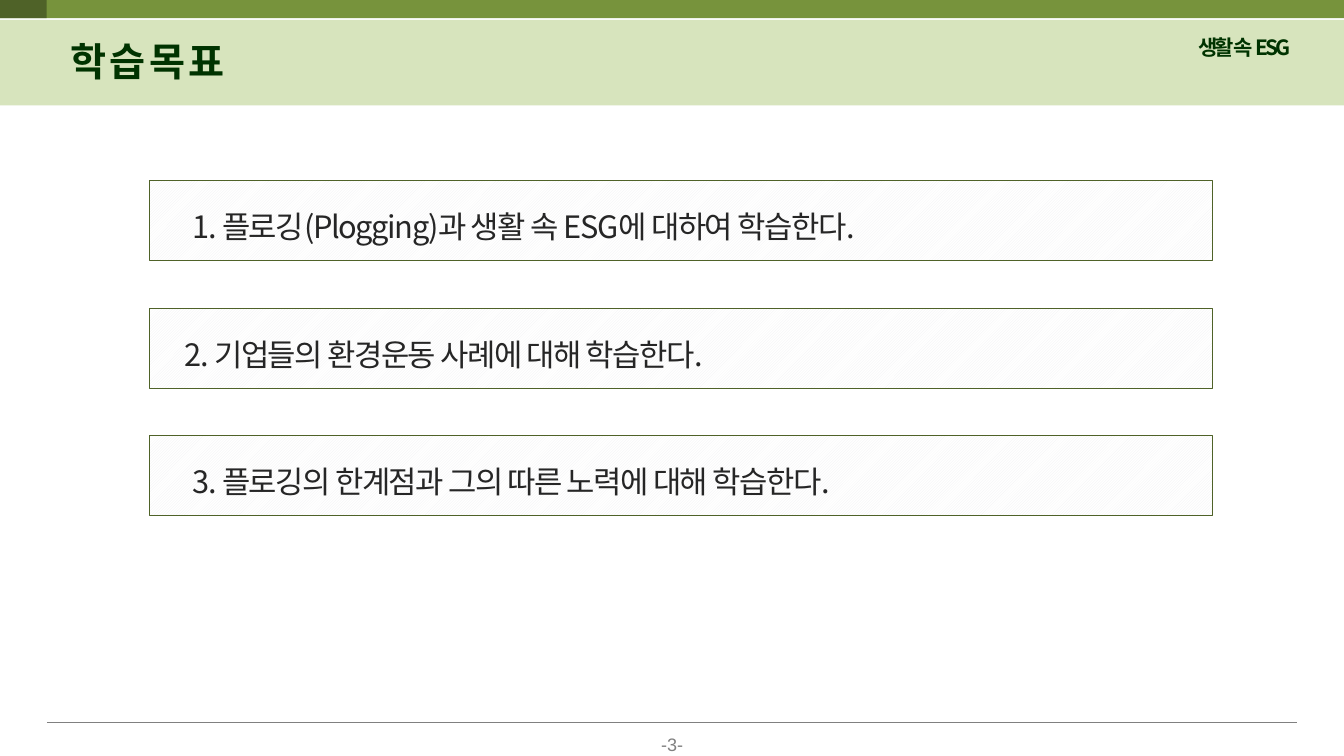
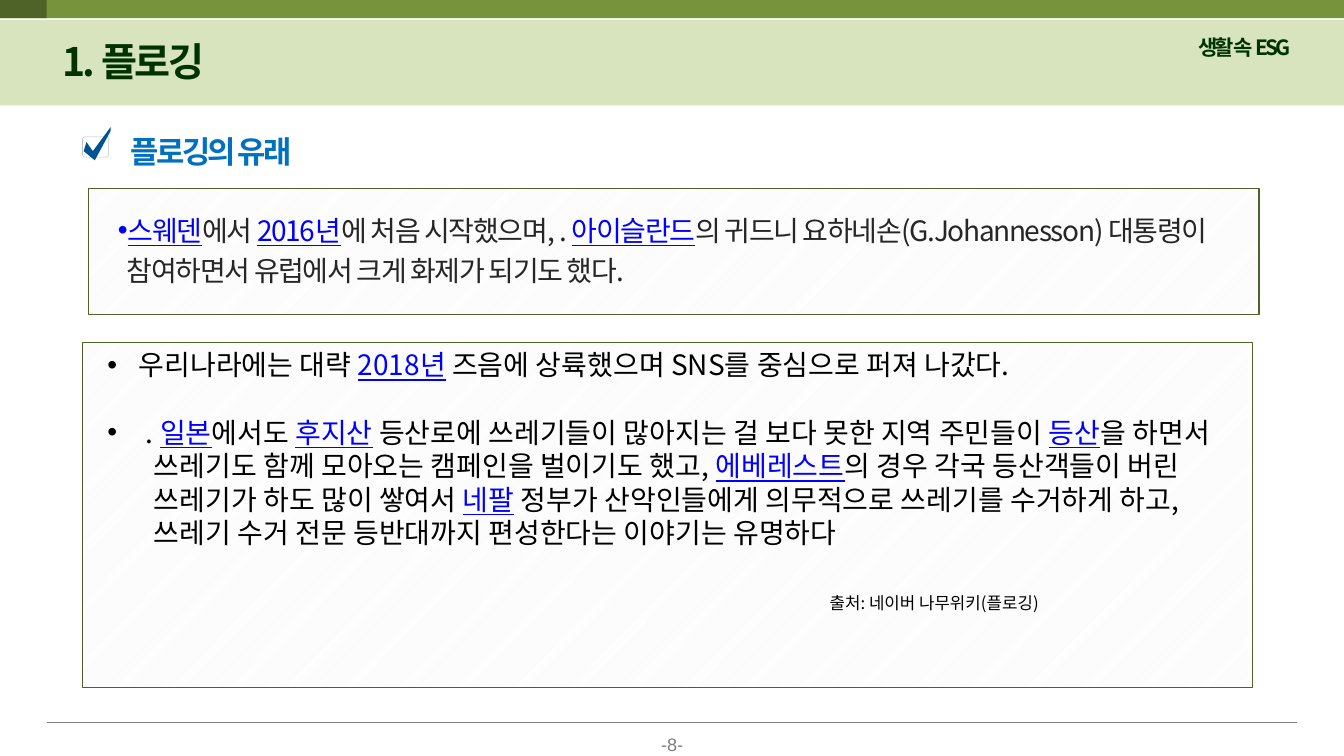
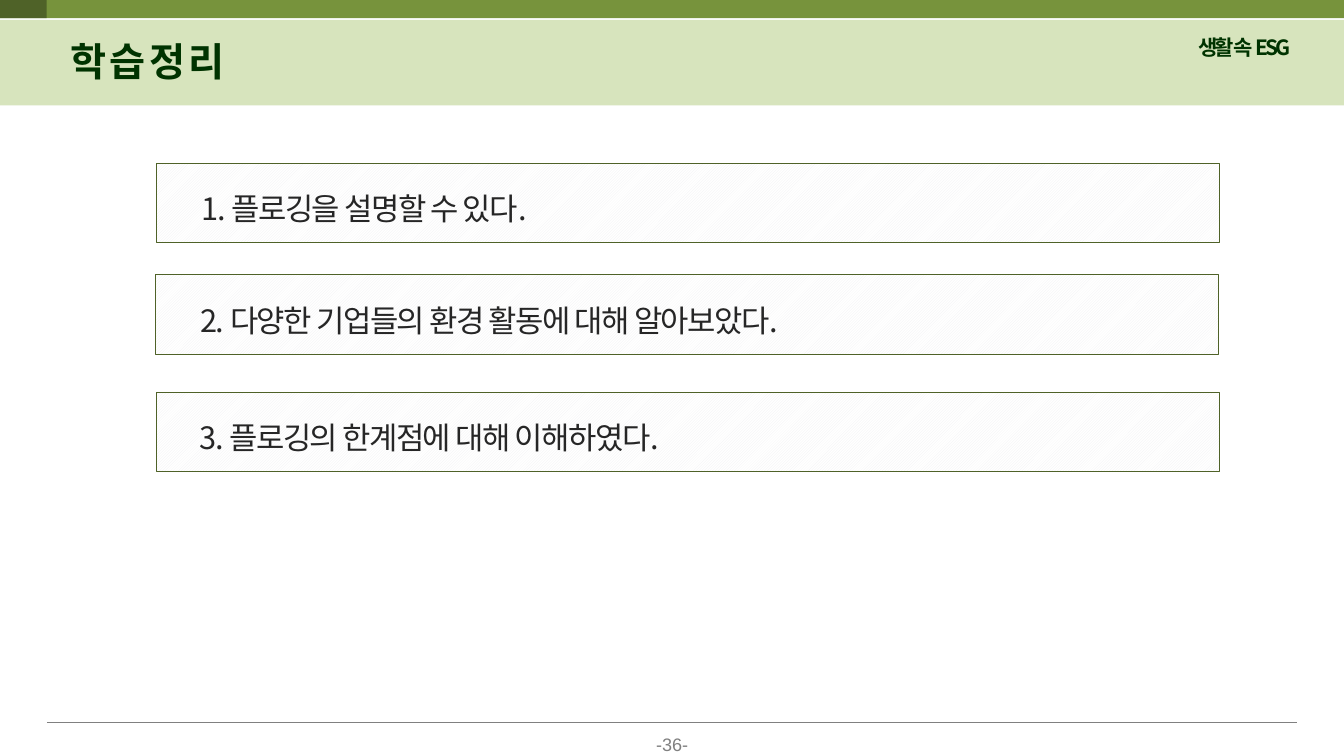
import pptx
import pptx.util
import pptx.dml.color
import pptx.enum.dml
import pptx.enum.shapes
import pptx.enum.text
import pptx.oxml.ns
import lxml.etree

Cm = pptx.util.Cm
Pt = pptx.util.Pt
RGBColor = pptx.dml.color.RGBColor
Shapes = pptx.enum.shapes.MSO_SHAPE
Align = pptx.enum.text.PP_ALIGN
qn = pptx.oxml.ns.qn

PALE_GREEN = RGBColor(0xD7, 0xE4, 0xBD)
MID_GREEN = RGBColor(0x77, 0x93, 0x3C)
DARK_GREEN = RGBColor(0x4F, 0x62, 0x28)
TITLE_GREEN = RGBColor(0x00, 0x33, 0x00)
GREY = RGBColor(0x80, 0x80, 0x80)
SILVER = RGBColor(0xC0, 0xC0, 0xC0)
STRIPE = RGBColor(0xEF, 0xEF, 0xF1)
WHITE = RGBColor(0xFF, 0xFF, 0xFF)
BLACK = RGBColor(0x00, 0x00, 0x00)
TEXT = RGBColor(0x26, 0x26, 0x26)
LINK = RGBColor(0x00, 0x00, 0xFF)
HEADING = RGBColor(0x00, 0x70, 0xC0)
TICK = RGBColor(0x00, 0x53, 0x92)
KOREAN = "Noto Sans CJK KR"


def add_box(page, shape_kind, left, top, width, height, fill=None, line=None, weight=0.75):
    """A preset shape; the fill may be a colour, "stripes" or nothing."""
    box = page.shapes.add_shape(shape_kind, Cm(left), Cm(top), Cm(width), Cm(height))
    box.shadow.inherit = False
    if fill == "stripes":
        box.fill.patterned()
        box.fill.pattern = pptx.enum.dml.MSO_PATTERN.DARK_UPWARD_DIAGONAL
        box.fill.fore_color.rgb = STRIPE
        box.fill.back_color.rgb = WHITE
    elif fill is None:
        box.fill.background()
    else:
        box.fill.solid()
        box.fill.fore_color.rgb = fill
    if line is None:
        box.line.fill.background()
    else:
        box.line.color.rgb = line
        box.line.width = Pt(weight)
    return box


def add_text(page, left, top, width, height, lines, size, color, bold=False,
             tracking=0, font=KOREAN):
    """A text box; parts of a line between bars are underlined links."""
    box = page.shapes.add_textbox(Cm(left), Cm(top), Cm(width), Cm(height))
    box.text_frame.word_wrap = True
    for index, line in enumerate(lines):
        para = box.text_frame.paragraphs[0] if index == 0 else box.text_frame.add_paragraph()
        for part, words in enumerate(line.split("|")):
            if not words:
                continue
            span = para.add_run()
            span.text = words
            span.font.size = Pt(size)
            span.font.bold = bold
            span.font.underline = part % 2 == 1
            span.font.color.rgb = LINK if part % 2 else color
            span.font.name = font
            properties = span.font._element
            properties.set("spc", str(round(tracking * 100)))
            lxml.etree.SubElement(properties, qn("a:ea")).set("typeface", font)
    return box


deck = pptx.Presentation()
deck.slide_width = Cm(33.87)
deck.slide_height = Cm(19.05)

# Shared bands, title, label and footer
pages = []
for title, title_left, number in [("학 습 목 표", 1.52, 3), ("1. 플로깅", 1.32, 8), ("학 습 정 리", 1.52, 36)]:
    page = deck.slides.add_slide(deck.slide_layouts[6])
    pages.append(page)
    add_box(page, Shapes.RECTANGLE, 0, 0.5, 33.87, 2.16, PALE_GREEN)
    add_box(page, Shapes.RECTANGLE, 0, 0, 33.87, 0.46, MID_GREEN)
    add_box(page, Shapes.RECTANGLE, 0, 0, 1.18, 0.46, DARK_GREEN)
    rule = page.shapes.add_connector(pptx.enum.shapes.MSO_CONNECTOR.STRAIGHT,
                                     Cm(1.18), Cm(18.21), Cm(32.69), Cm(18.21))
    rule.line.color.rgb = GREY
    rule.line.width = Pt(0.5)
    lxml.etree.SubElement(rule._element.spPr, qn("a:effectLst"))
    footer = add_text(page, 15.77, 18.34, 2.34, 0.86, [f"-{number}-"], 12.9, GREY, font="Arial")
    footer.text_frame.margin_top = footer.text_frame.margin_bottom = Cm(0.15)
    footer.text_frame.paragraphs[0].alignment = Align.CENTER
    label = add_text(page, 29.95, 0.74, 3, 0.89, ["생활 속 ESG"], 15, TITLE_GREEN, True, -1.9)
    label.text_frame.paragraphs[0].alignment = Align.JUSTIFY
    add_text(page, title_left, 0.81, 10.4, 1.45, [title], 28, TITLE_GREEN, True, -1.9)

goals, origin, summary = pages

# Numbered panels of the goals and the summary
panels = [
    (goals, 3.76, 4.55, 4.6, "1. 플로깅(Plogging)과 생활 속 ESG에 대하여 학습한다."),
    (goals, 3.76, 7.77, 4.4, "2. 기업들의 환경운동 사례에 대해 학습한다."),
    (goals, 3.76, 10.97, 4.6, "3. 플로깅의 한계점과 그의 따른 노력에 대해 학습한다."),
    (summary, 3.94, 4.11, 4.83, "1. 플로깅을 설명할 수 있다."),
    (summary, 3.91, 6.93, 4.8, "2. 다양한 기업들의 환경 활동에 대해 알아보았다."),
    (summary, 3.94, 9.88, 4.78, "3. 플로깅의 한계점에 대해 이해하였다."),
]
for page, left, top, text_left, sentence in panels:
    add_box(page, Shapes.RECTANGLE, left, top, 26.8, 2.01, "stripes", DARK_GREEN)
    box = add_text(page, text_left, top + 0.37, 25.8, 1.4, [sentence], 22, TEXT, tracking=-1)
    box.text_frame.paragraphs[0].line_spacing = 1.2

# Check mark and heading
check_box = add_box(origin, Shapes.ROUNDED_RECTANGLE, 2.08, 3.45, 0.66, 0.51, None, SILVER, 0.38)
check_box.adjustments[0] = 0.12
outline = [(2.18, 3.58), (2.11, 3.81), (2.39, 4.04), (2.79, 3.3), (2.79, 3.2), (2.34, 3.81)]
points = [(Cm(x), Cm(y)) for x, y in outline]
builder = origin.shapes.build_freeform(*points[0])
builder.add_line_segments(points[1:], close=True)
tick = builder.convert_to_shape()
tick.shadow.inherit = False
tick.fill.solid()
tick.fill.fore_color.rgb = TICK
tick.line.fill.background()
add_text(origin, 3.05, 3.23, 21.44, 1.19, ["플로깅의 유래"], 22, HEADING, True, -1.9)

# Origin of plogging: the two panels
add_box(origin, Shapes.RECTANGLE, 2.24, 4.75, 29.49, 3.18, "stripes", DARK_GREEN)
start = add_text(origin, 2.72, 5.08, 28.02, 2.31, [
    "|스웨덴|에서 |2016년|에 처음 시작했으며, . |아이슬란드|의 귀드니 요하네손(G.Johannesson) "
    "대통령이 참여하면서 유럽에서 크게 화제가 되기도 했다."], 20, TEXT, tracking=-1)
add_box(origin, Shapes.RECTANGLE, 2.08, 8.64, 29.49, 8.69, "stripes", DARK_GREEN)
spread = add_text(origin, 2.46, 8.64, 29.16, 7.09, [
    "우리나라에는 대략 |2018년| 즈음에 상륙했으며 SNS를 중심으로 퍼져 나갔다.",
    ". |일본|에서도 |후지산| 등산로에 쓰레기들이 많아지는 걸 보다 못한 지역 주민들이 |등산|을 하면서",
    "쓰레기도 함께 모아오는 캠페인을 벌이기도 했고, |에베레스트|의 경우 각국 등산객들이 버린",
    "쓰레기가 하도 많이 쌓여서 |네팔| 정부가 산악인들에게 의무적으로 쓰레기를 수거하게 하고,",
    "쓰레기 수거 전문 등반대까지 편성한다는 이야기는 유명하다",
    "출처: 네이버 나무위키(플로깅)"], 20, BLACK)
spread.text_frame.paragraphs[5].runs[0].font.size = Pt(12)

# Indents, bullets and gaps: left indent, hanging bullet, space before
layout = [(0.23, True, 0), (0.79, True, 0), (0.97, True, 24), (1.17, False, 0),
          (1.17, False, 0), (1.17, False, 0), (18.2, False, 31)]
paragraphs = [*start.text_frame.paragraphs, *spread.text_frame.paragraphs]
for para, (indent, bulleted, gap) in zip(paragraphs, layout):
    properties = para._element.get_or_add_pPr()
    properties.set("marL", str(Cm(indent)))
    if bulleted:
        properties.set("indent", str(-Cm(indent)))
        lxml.etree.SubElement(properties, qn("a:buFont")).set("typeface", "Arial")
        lxml.etree.SubElement(properties, qn("a:buChar")).set("char", "•")
    if gap:
        para.space_before = Pt(gap)
start.text_frame.paragraphs[0].line_spacing = 1.2

deck.save("out.pptx")
